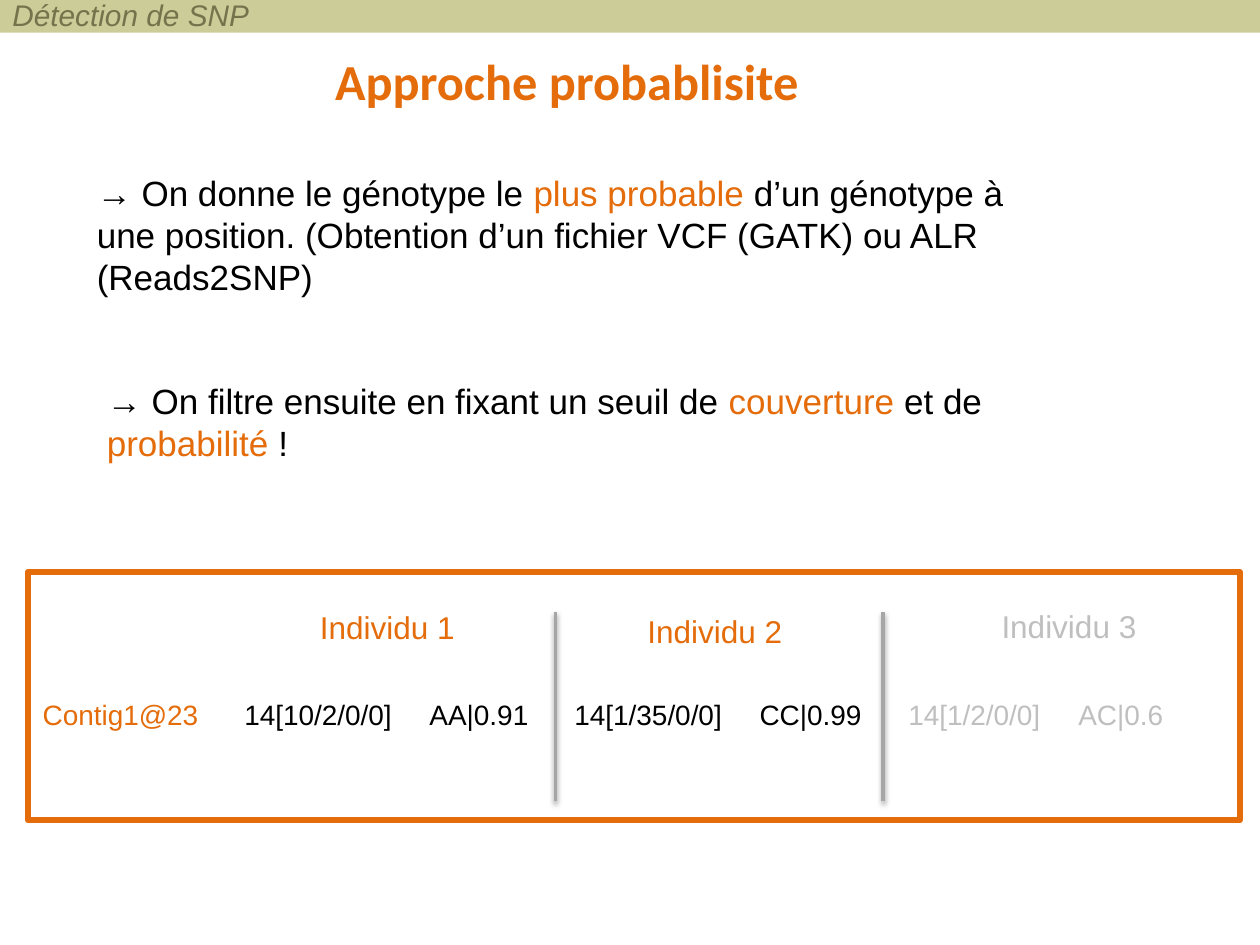
from lxml import etree
from pptx import Presentation
from pptx.dml.color import RGBColor
from pptx.enum.shapes import MSO_CONNECTOR, MSO_SHAPE
from pptx.enum.text import MSO_ANCHOR, MSO_AUTO_SIZE, PP_ALIGN
from pptx.oxml.ns import qn
from pptx.util import Inches, Pt

RECT, LINE = MSO_SHAPE.RECTANGLE, MSO_CONNECTOR.STRAIGHT
TOP, MIDDLE = MSO_ANCHOR.TOP, MSO_ANCHOR.MIDDLE
LEFT, CENTER = PP_ALIGN.LEFT, PP_ALIGN.CENTER
NO_FIT = MSO_AUTO_SIZE.NONE

ORANGE, BLACK, GREY = "E46C0A", "000000", "BFBFBF"
KHAKI, OLIVE, RULE = "CCCC99", "74734C", "A6A6A6"


def rgb(color):
    return RGBColor.from_string(color)


def write(tf, runs, size, font="Arial", bold=False, italic=False,
          anchor=TOP, align=LEFT, wrap=True, tabs=()):
    """Fill a text frame with one paragraph of (text, colour) runs."""
    tf.auto_size = NO_FIT
    tf.word_wrap = wrap
    tf.vertical_anchor = anchor
    p = tf.paragraphs[0]
    p.alignment = align
    if tabs:
        tab_list = etree.SubElement(p._p.get_or_add_pPr(), qn("a:tabLst"))
        for pos in tabs:
            etree.SubElement(tab_list, qn("a:tab"), pos=str(Inches(pos)), algn="l")
    for text, color in runs:
        r = p.add_run()
        r.text = text
        r.font.name, r.font.size = font, Pt(size)
        r.font.bold, r.font.italic = bold, italic
        r.font.color.rgb = rgb(color)


def add_text(s, box, runs, size, **fmt):
    sp = s.shapes.add_textbox(*map(Inches, box))
    write(sp.text_frame, runs, size, **fmt)


def add_title(s, box, text):
    sp = s.shapes.title
    sp.left, sp.top, sp.width, sp.height = map(Inches, box)
    write(sp.text_frame, [(text, ORANGE)], 28.8, font="Calibri", bold=True,
          anchor=MIDDLE, align=CENTER)


def add_rect(s, box, fill=None, line=None, width=1):
    sp = s.shapes.add_shape(RECT, *map(Inches, box))
    sp.shadow.inherit = False
    if fill:
        sp.fill.solid()
        sp.fill.fore_color.rgb = rgb(fill)
    else:
        sp.fill.background()
    if line:
        sp.line.color.rgb = rgb(line)
        sp.line.width = Pt(width)
    else:
        sp.line.fill.background()


def add_separator(s, x, top, bottom):
    """Vertical rule with a soft shadow below it."""
    sp = s.shapes.add_connector(LINE, *map(Inches, (x, top, x, bottom)))
    sp.line.color.rgb = rgb(RULE)
    sp.line.width = Pt(2)
    effects = etree.SubElement(sp._element.spPr, qn("a:effectLst"))
    shadow = etree.SubElement(effects, qn("a:outerShdw"), blurRad=str(Pt(3.1)),
                              dist=str(Pt(1.6)), dir="5400000", rotWithShape="0")
    color = etree.SubElement(shadow, qn("a:srgbClr"), val=BLACK)
    etree.SubElement(color, qn("a:alpha"), val="38000")


def main():
    prs = Presentation()
    prs.slide_width, prs.slide_height = Inches(10), Inches(7.5)
    s = prs.slides.add_slide(prs.slide_layouts[5])

    # Header band and title
    add_rect(s, (0, 0, 10, 0.26), fill=KHAKI)
    add_text(s, (0, 0, 10, 0.24), [("Détection de SNP", OLIVE)], 17,
             italic=True, anchor=MIDDLE)
    add_title(s, (0, 0.36, 9, 0.55), "Approche probablisite")

    # Two statements
    add_text(s, (0.67, 1.31, 7.4, 1.11), [
        ("→ On donne le génotype le ", BLACK),
        ("plus probable ", ORANGE),
        ("d’un génotype à une position. (Obtention d’un fichier VCF (GATK) "
         "ou ALR (Reads2SNP)", BLACK)], 20)
    add_text(s, (0.75, 2.96, 7.4, 0.77), [
        ("→ On filtre ensuite en fixant un seuil de ", BLACK),
        ("couverture", ORANGE), (" et de ", BLACK),
        ("probabilité", ORANGE), (" !", BLACK)], 20)

    # Genotype line, aligned on tab stops
    add_text(s, (0.24, 5.49, 9.88, 0.37), [
        ("Contig1@23", ORANGE),
        ("\t14[10/2/0/0]\tAA|0.91\t14[1/35/0/0]\tCC|0.99", BLACK),
        ("\t14[1/2/0/0]\tAC|0.6", GREY)], 16,
        tabs=(1.6, 3.07, 4.22, 5.69, 6.87, 8.22))

    # Individual headings and the rules between them
    headings = [(2.44, 4.78, ORANGE), (5.04, 4.81, ORANGE), (7.85, 4.77, GREY)]
    for i, (x, y, color) in enumerate(headings, 1):
        add_text(s, (x, y, 1.28, 0.4), [(f"Individu {i}", color)], 18, wrap=False)
    for x in (4.41, 7.01):
        add_separator(s, x, 4.86, 6.36)

    # Frame around the example
    add_rect(s, (0.22, 4.54, 9.62, 1.97), line=ORANGE, width=3.5)

    prs.save("out.pptx")


if __name__ == "__main__":
    main()
